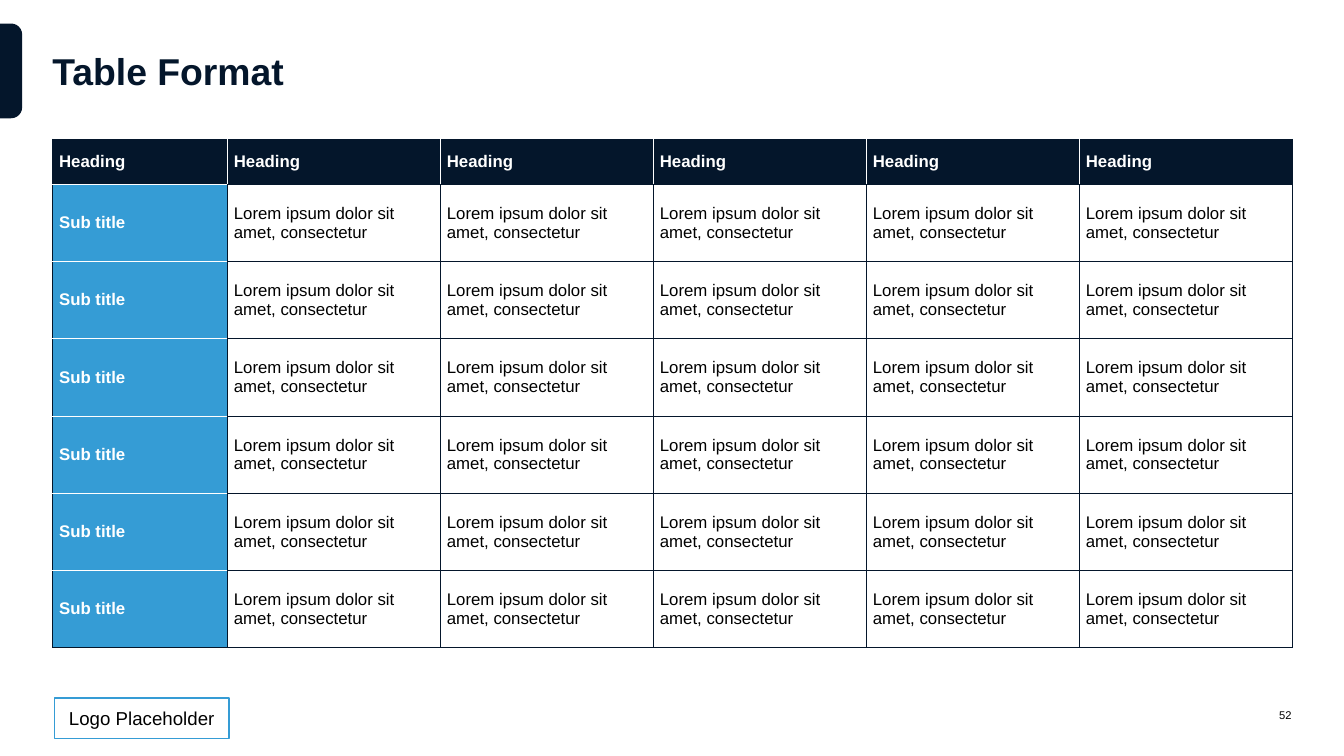
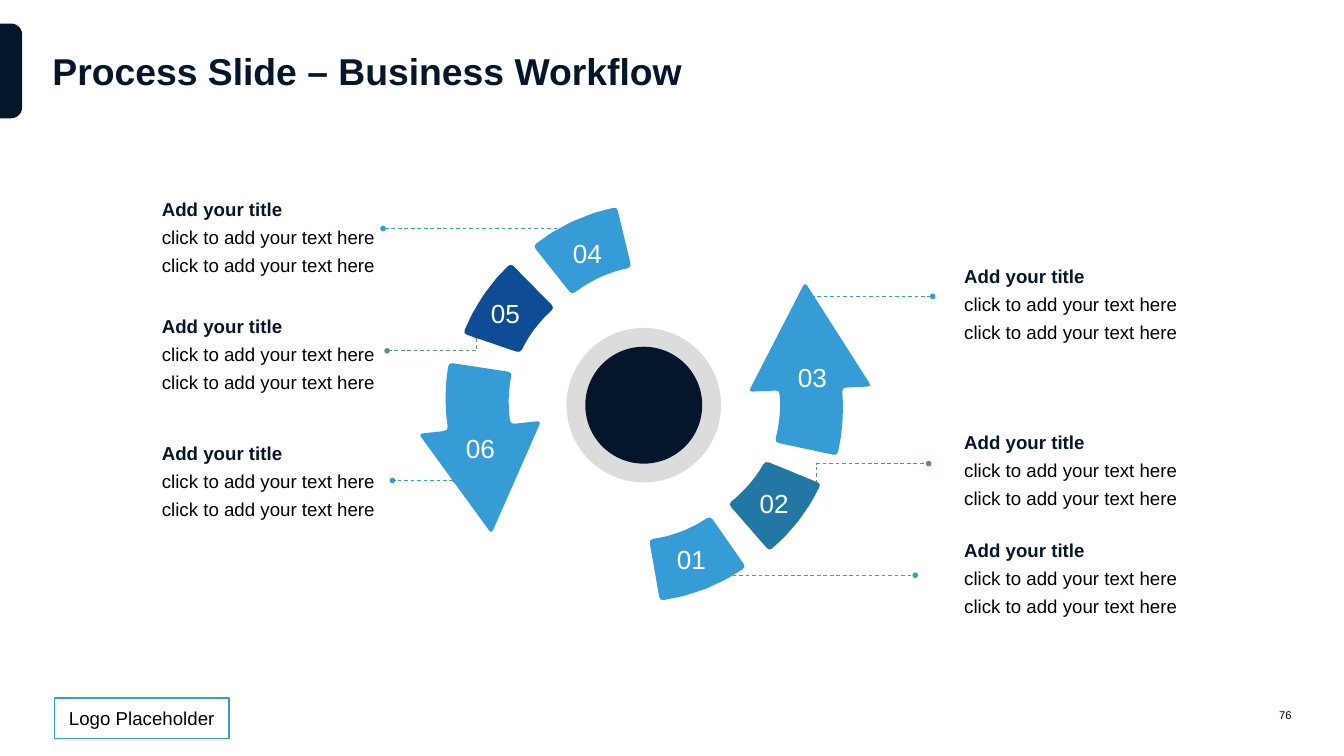
from math import atan2, cos, hypot, radians, sin

from lxml.etree import SubElement
from pptx import Presentation
from pptx.dml.color import RGBColor
from pptx.enum.dml import MSO_LINE
from pptx.enum.shapes import MSO_CONNECTOR, MSO_SHAPE
from pptx.enum.text import MSO_ANCHOR, MSO_AUTO_SIZE, PP_ALIGN
from pptx.oxml.ns import qn
from pptx.util import Inches, Pt

COLORS = {
    "navy": "04162B", "sky": "359CD5", "teal": "2277A5", "royal": "0E4C95",
    "green": "5C946E", "grey": "DCDCDC", "white": "FFFFFF", "black": "000000",
}
FONT = "Arial"

HEADINGS = ["Heading"] * 6
ROWS = [["Sub title"] + ["Lorem ipsum dolor sit amet, consectetur"] * 5] * 6
COLUMN_WIDTHS = [2.6] + [3.17] * 5
ROW_HEIGHTS = [0.67] + [1.15] * 6

NOTE_LINES = ["Add your title"] + ["click to add your text here"] * 2
NOTE_TOPS = {2.31: [2.89, 4.64, 6.52], 14.25: [3.89, 6.36, 7.97]}

HUB = (9.58, 6.03)
HUB_RINGS = [(2.3, "grey"), (1.74, "navy")]
TURN_PIVOT, TURN_DEGREES = (9.59, 6), 176.5
WEDGES = [
    [(9.66, 8.03), (9.82, 8.94), (11.1, 8.44), (10.57, 7.68)],
    [(11.39, 6.86), (12.22, 7.2), (11.45, 8.2), (10.84, 7.5)],
    [(11.53, 6.58), (11.6, 5.81), (11.14, 5.83), (11.98, 4.2),
     (12.97, 5.75), (12.53, 5.77), (12.46, 6.78)],
]
STEPS = [
    ("01", "sky", (9.72, 8.04), (10.77, 8.56), (13.62, 8.56)),
    ("02", "teal", (10.95, 7.2), (12.15, 7.23), (13.82, 6.9)),
    ("03", "sky", (11.52, 5.33), (12.03, 4.41), (13.88, 4.41)),
    ("04", "sky", (8.17, 3.48), (8.81, 3.4), (5.7, 3.4)),
    ("05", "royal", (6.95, 4.38), (7.09, 5), (5.76, 5.22)),
    ("06", "sky", (6.58, 6.38), (6.78, 7.15), (5.84, 7.15)),
]


def rgb(color):
    return RGBColor.from_string(COLORS[color])


def write(frame, text, size=20, color="black", bold=False, align=PP_ALIGN.LEFT,
          anchor=None, inset=None, append=False, after=0):
    frame.word_wrap = True
    if anchor is not None:
        frame.vertical_anchor = anchor
    if inset is not None:
        frame.margin_left = frame.margin_right = Inches(inset)
        frame.margin_top = frame.margin_bottom = Inches(inset)
    paragraph = frame.add_paragraph() if append else frame.paragraphs[0]
    paragraph.alignment = align
    paragraph.space_before = Pt(3 if append else 0)
    paragraph.space_after = Pt(after)
    run = paragraph.add_run()
    run.text = text
    run.font.name, run.font.size, run.font.bold = FONT, Pt(size), bold
    run.font.color.rgb = rgb(color)


def text_frame(slide, left, top, width, height, grow=False):
    frame = slide.shapes.add_textbox(*map(Inches, (left, top, width, height))).text_frame
    if grow:
        frame.auto_size = MSO_AUTO_SIZE.SHAPE_TO_FIT_TEXT
    return frame


def paint(shape, fill, outline=None):
    shape.shadow.inherit = False
    shape.fill.solid()
    shape.fill.fore_color.rgb = rgb(fill)
    if outline:
        shape.line.color.rgb = rgb(outline)
        shape.line.width = Pt(1.5)
    else:
        shape.line.fill.background()


def add_preset(slide, preset, left, top, width, height, fill, outline=None):
    shape = slide.shapes.add_shape(preset, *map(Inches, (left, top, width, height)))
    paint(shape, fill, outline)
    return shape


def start_slide(deck, title, page):
    slide = deck.slides.add_slide(deck.slide_layouts[5])
    heading = slide.shapes.title
    heading.left, heading.top, heading.width, heading.height = map(Inches, (0.78, 0.35, 18.44, 1.39))
    heading.text_frame.auto_size = MSO_AUTO_SIZE.NONE
    write(heading.text_frame, title, size=40, color="navy", bold=True,
          anchor=MSO_ANCHOR.MIDDLE, inset=0)
    tab = add_preset(slide, MSO_SHAPE.ROUND_2_SAME_RECTANGLE, -0.54, 0.89, 1.41, 0.33, "navy")
    tab.rotation = 90
    tab.adjustments[0] = 0.5
    logo = add_preset(slide, MSO_SHAPE.ROUNDED_RECTANGLE, 0.81, 10.39, 2.6, 0.6, "white", "sky")
    logo.adjustments[0] = 0
    write(logo.text_frame, "Logo Placeholder", align=PP_ALIGN.CENTER, anchor=MSO_ANCHOR.MIDDLE)
    write(text_frame(slide, 18.34, 10.39, 0.88, 0.51), page, size=12,
          align=PP_ALIGN.RIGHT, anchor=MSO_ANCHOR.MIDDLE, inset=0)
    return slide


def set_borders(cell, white_edges):
    properties = cell._tc.get_or_add_tcPr()
    for edge in "LRTB":
        white = edge in white_edges
        line = SubElement(properties, qn(f"a:ln{edge}"), w=str(Pt(1 if white else 0.75)))
        fill = SubElement(line, qn("a:solidFill"))
        SubElement(fill, qn("a:srgbClr"), val=COLORS["white" if white else "navy"])


def white_edges_at(row, column):
    last_row, last_column = len(ROWS), len(HEADINGS) - 1
    if row == 0:
        return ("L" * (column > 0)) + ("R" * (column < last_column)) + ("B" * (column == 0))
    if column == 0:
        return "T" + "B" * (row < last_row)
    return ""


def add_grid(slide):
    table = slide.shapes.add_table(
        len(ROW_HEIGHTS), len(COLUMN_WIDTHS), Inches(0.78), Inches(2.07),
        Inches(sum(COLUMN_WIDTHS)), Inches(sum(ROW_HEIGHTS))).table
    table.first_row = table.horz_banding = False
    for column, width in zip(table.columns, COLUMN_WIDTHS):
        column.width = Inches(width)
    for row, height in zip(table.rows, ROW_HEIGHTS):
        row.height = Inches(height)
    for r, texts in enumerate([HEADINGS] + ROWS):
        for c, text in enumerate(texts):
            cell = table.cell(r, c)
            set_borders(cell, white_edges_at(r, c))
            labelled = r == 0 or c == 0
            if labelled:
                cell.fill.solid()
                cell.fill.fore_color.rgb = rgb("navy" if r == 0 else "sky")
            else:
                cell.fill.background()
            cell.vertical_anchor = MSO_ANCHOR.MIDDLE
            write(cell.text_frame, text, size=18, bold=labelled,
                  color="white" if labelled else "black")


def blend(a, b, share):
    return tuple(p + (q - p) * share for p, q in zip(a, b))


def polar(point):
    dx, dy = point[0] - HUB[0], point[1] - HUB[1]
    return hypot(dx, dy), atan2(dy, dx)


def bend_edges(corners, parts=4):
    bent = []
    for corner, following in zip(corners, corners[1:] + corners[:1]):
        bent.append(corner)
        start, end = polar(corner), polar(following)
        if abs(start[0] - end[0]) < 0.1:
            for part in range(1, parts):
                radius, angle = blend(start, end, part / parts)
                bent.append((HUB[0] + radius * cos(angle), HUB[1] + radius * sin(angle)))
    return bent


def round_corners(corners, cut=0.06):
    rounded = []
    for i, corner in enumerate(corners):
        before, after = corners[i - 1], corners[(i + 1) % len(corners)]
        entry, leave = (blend(corner, other, cut / hypot(other[0] - corner[0], other[1] - corner[1]))
                        for other in (before, after))
        rounded += [entry, blend(blend(entry, leave, 0.5), corner, 0.5), leave]
    return rounded


def turn(point):
    angle = radians(TURN_DEGREES)
    dx, dy = point[0] - TURN_PIVOT[0], point[1] - TURN_PIVOT[1]
    return (TURN_PIVOT[0] + dx * cos(angle) - dy * sin(angle),
            TURN_PIVOT[1] + dx * sin(angle) + dy * cos(angle))


def add_freeform(slide, points, close):
    spots = [(Inches(x), Inches(y)) for x, y in points]
    builder = slide.shapes.build_freeform(*spots[0])
    builder.add_line_segments(spots[1:], close=close)
    return builder.convert_to_shape()


def add_leader(slide, start, end):
    straight = start[1] == end[1]
    if straight:
        leader = slide.shapes.add_connector(MSO_CONNECTOR.STRAIGHT, *map(Inches, start + end))
    else:
        corner = (start[0], end[1])
        leader = add_freeform(slide, [start, corner, end], close=False)
        leader.fill.background()
    leader.line.color.rgb = rgb("sky" if straight else "green")
    leader.line.width = Pt(1)
    leader.line.dash_style = MSO_LINE.DASH
    line = leader.line._get_or_add_ln()
    for tip in ("headEnd", "tailEnd"):
        SubElement(line, qn(f"a:{tip}"), type="oval")
    SubElement(leader._element.spPr, qn("a:effectLst"))


def add_step(slide, outline, number, color, label, start, end):
    add_leader(slide, start, end)
    paint(add_freeform(slide, outline, close=True), color)
    write(text_frame(slide, *label, 1.14, 0.57, grow=True), number,
          size=28, color="white", align=PP_ALIGN.CENTER)


def add_note(slide, left, top):
    frame = text_frame(slide, left, top, 3.44, 1.28, grow=True)
    for index, line in enumerate(NOTE_LINES):
        write(frame, line, color="black" if index else "navy", bold=index == 0,
              append=index > 0, after=3)


def main():
    deck = Presentation()
    deck.slide_width, deck.slide_height = Inches(20), Inches(11.25)

    add_grid(start_slide(deck, "Table Format", "52"))

    workflow = start_slide(deck, "Process Slide – Business Workflow", "76")
    for left, tops in NOTE_TOPS.items():
        for top in tops:
            add_note(workflow, left, top)
    right_side = [round_corners(bend_edges(wedge)) for wedge in WEDGES]
    left_side = [[turn(point) for point in outline] for outline in right_side]
    for outline, step in zip(right_side + left_side, STEPS):
        add_step(workflow, outline, *step)
    for diameter, color in HUB_RINGS:
        left, top = (center - diameter / 2 for center in HUB)
        add_preset(workflow, MSO_SHAPE.OVAL, left, top, diameter, diameter, color)

    deck.save("out.pptx")


if __name__ == "__main__":
    main()
